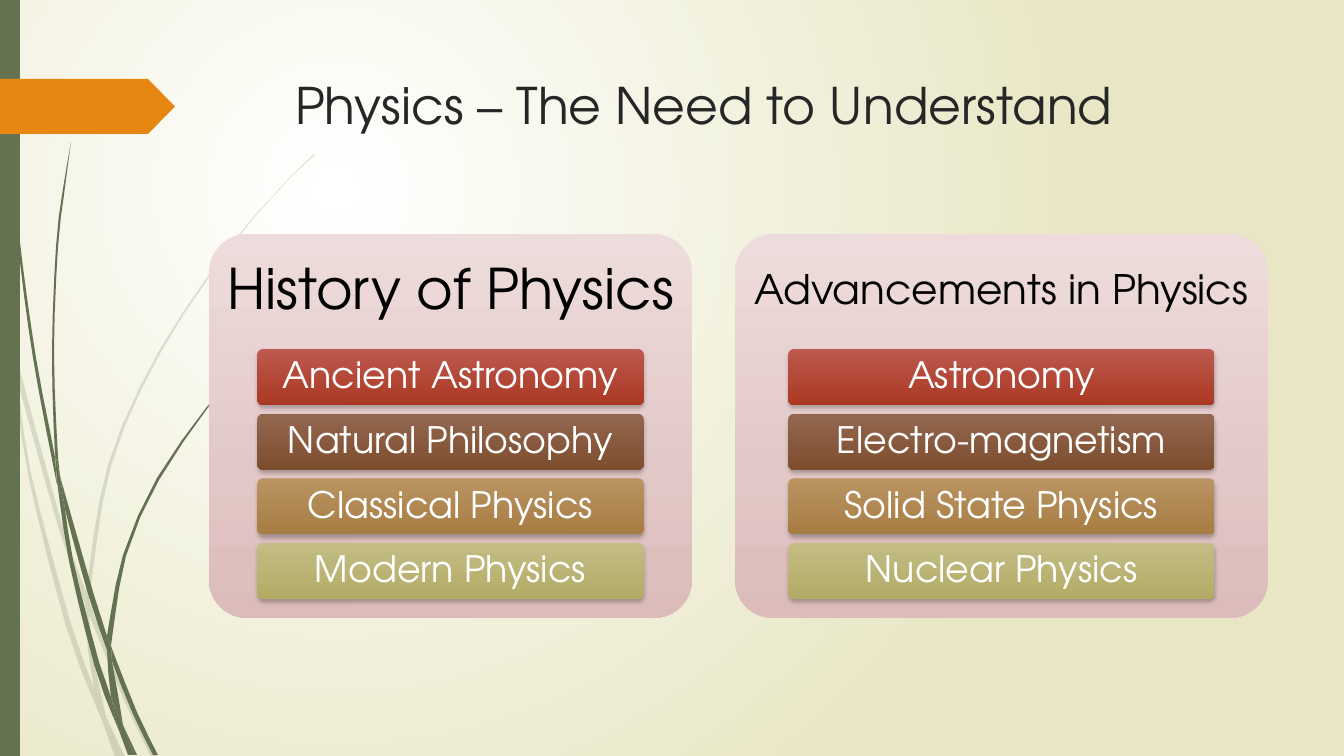
from pptx import Presentation, util as u
from pptx.dml.color import RGBColor
from pptx.enum import shapes, text
from pptx.oxml import parse_xml
from pptx.oxml.ns import nsdecls, qn

# Content
TITLE = "Physics – The Need to Understand"
PANELS = [  # heading, size, left, width, bars
    ("History of Physics", 40, 209, 483,
     ["Ancient Astronomy", "Natural Philosophy", "Classical Physics", "Modern Physics"]),
    ("Advancements in Physics", 29, 735, 533,
     ["Astronomy", "Electro-magnetism", "Solid State Physics", "Nuclear Physics"]),
]
FONT = "TeX Gyre Adventor"
GREEN, ORANGE, INK = "647252", "E78712", "262626"
ROSE = ("EDDCDB", "DBBCBA")
TONES = [("BD594E", "AB3823"), ("93674F", "7D4D2E"),
         ("BA9362", "A77D43"), ("C3BC85", "B3AC66")]

# Grass: left and right edge of each piece, both from top to bottom
PALE = [
    ([(0, 301), (10, 347), (11, 353)], [(0, 284), (9, 325), (11, 353)]),
    ([(17, 379), (58, 526), (85, 604)], [(14, 348), (62, 524), (86, 591)]),
    ([(89, 615), (124, 700), (151, 757)], [(89, 601), (93, 612), (128, 698), (156, 757)]),
    ([(106, 717), (120, 757)], [(106, 717), (125, 757)]),
    ([(11, 353), (28, 474), (66, 626), (93, 699), (102, 720)],
     [(11, 353), (17, 379), (31, 473), (71, 624), (94, 688), (102, 720)]),
    ([(85, 604), (88, 651), (94, 688), (106, 717)],
     [(85, 604), (89, 615), (92, 651), (106, 717)]),
    ([(314, 154), (291, 176), (270, 199), (230, 246), (159, 351), (108, 465), (86, 591)],
     [(315, 155), (292, 176), (270, 200), (231, 247), (161, 352), (111, 466), (89, 601)]),
    ([(102, 720), (115, 757)], [(102, 720), (120, 757)]),
    ([(86, 591), (85, 604), (89, 613)], [(86, 591), (89, 601), (89, 615)]),
    ([(94, 688), (102, 720), (120, 757)], [(94, 688), (106, 717), (120, 757)]),
]
DARK = [
    ([(3, 0), (7, 111), (17, 235), (33, 358), (57, 485)],
     [(4, 0), (8, 110), (19, 234), (36, 358), (55, 457), (57, 485)]),
    ([(60, 476), (65, 509), (89, 597), (107, 650)],
     [(60, 476), (94, 595), (107, 636), (107, 650)]),
    ([(111, 646), (112, 661), (133, 714), (153, 755)],
     [(111, 646), (114, 654), (137, 712), (158, 755)]),
    ([(57, 481), (69, 561), (94, 664), (112, 714), (118, 728)],
     [(57, 481), (65, 509), (73, 560), (99, 662), (111, 697), (118, 728)]),
    ([(71, 142), (62, 195), (56, 247), (52, 352), (55, 453), (60, 476)],
     [(71, 142), (64, 195), (58, 247), (54, 352), (58, 457), (60, 476)]),
    ([(123, 725), (134, 755)], [(123, 725), (137, 755)]),
    ([(55, 453), (57, 481), (65, 509)], [(55, 453), (60, 476), (65, 509)]),
    ([(262, 347), (233, 376), (206, 408), (157, 478), (123, 555), (107, 636)],
     [(263, 347), (233, 377), (207, 409), (159, 480), (126, 556), (111, 646)]),
    ([(118, 728), (128, 755)], [(118, 728), (132, 755)]),
    ([(107, 650), (111, 697), (123, 725)], [(107, 650), (112, 661), (123, 725)]),
    ([(107, 636), (107, 650), (112, 661)], [(107, 636), (111, 646), (112, 661)]),
    ([(111, 697), (118, 728), (131, 755)], [(111, 697), (123, 725), (134, 755)]),
]


def px(n):
    return u.Emu(round(n * 914400 / 100.8))


def rgb(code):
    return RGBColor.from_string(code)


def paint(fill, tone):
    """Fill with one colour, or with a top-to-bottom pair."""
    if isinstance(tone, tuple):
        fill.gradient()
        fill.gradient_angle = 270
        for stop, code in zip(fill.gradient_stops, tone):
            stop.color.rgb = rgb(code)
    else:
        fill.solid()
        fill.fore_color.rgb = rgb(tone)


def finish(shape, tone):
    paint(shape.fill, tone)
    shape.line.fill.background()
    shape.shadow.inherit = False
    return shape


def add(kind, x, y, w, h, tone, adj=None):
    shape = finish(slide.shapes.add_shape(kind, px(x), px(y), px(w), px(h)), tone)
    if adj is not None:
        shape.adjustments[0] = adj
    return shape


def write(shape, words, size, color="FFFFFF", align=text.PP_ALIGN.CENTER,
          anchor=text.MSO_ANCHOR.MIDDLE, wrap=False, space=0.9, foot=5):
    frame = shape.text_frame
    frame.word_wrap, frame.vertical_anchor = wrap, anchor
    frame.margin_top, frame.margin_bottom = px(5), px(foot)
    para = frame.paragraphs[0]
    para.alignment, para.line_spacing = align, space
    run = para.add_run()
    run.text = words
    run.font.name, run.font.size = FONT, u.Pt(size)
    run.font.color.rgb = rgb(color)


def smooth(pts):
    """Curve through all points (Catmull-Rom), long spans in more steps."""
    ext = [pts[0], *pts, pts[-1]]
    out = []
    for a, b, c, d in zip(ext, ext[1:], ext[2:], ext[3:]):
        steps = 1 + abs(c[1] - b[1]) // 40
        for t in (i / steps for i in range(steps)):
            out.append(tuple(
                (2 * q + (r - p) * t + (2 * p - 5 * q + 4 * r - s) * t ** 2
                 + (3 * q - p - 3 * r + s) * t ** 3) / 2
                for p, q, r, s in zip(a, b, c, d)))
    return out + [pts[-1]]


# Slide and background
deck = Presentation()
deck.slide_width, deck.slide_height = px(1344), px(756)
slide = deck.slides.add_slide(deck.slide_layouts[5])
paint(slide.background.fill, ("FFFFFF", "E8E6C4"))
lin = next(slide.element.iter(qn("a:lin")))
lin.getparent().replace(lin, parse_xml(
    f'<a:path {nsdecls("a")} path="circle">'
    '<a:fillToRect l="50000" t="50000" r="100000" b="100000"/></a:path>'))

# Grass, side bar and pointer
for alpha, blades in ((20, PALE), (100, DARK)):
    for left, right in blades:
        edge = [(px(x), px(y)) for x, y in smooth(left) + smooth(right)[::-1]]
        pen = slide.shapes.build_freeform(*edge[0])
        pen.add_line_segments(edge[1:], close=True)
        blade = finish(pen.convert_to_shape(), GREEN)
        code = next(blade.element.spPr.iter(qn("a:srgbClr")))
        code.append(parse_xml(f'<a:alpha {nsdecls("a")} val="{alpha * 1000}"/>'))
add(shapes.MSO_SHAPE.RECTANGLE, 0, 0, 20, 756, GREEN)
add(shapes.MSO_SHAPE.PENTAGON, 0, 79, 175, 55, ORANGE, 0.49)

# Title
title = slide.shapes.title
title.left, title.top, title.width, title.height = map(px, (285, 69, 983, 141))
write(title, TITLE, 36, INK, align=text.PP_ALIGN.LEFT,
      anchor=text.MSO_ANCHOR.TOP, wrap=True, space=1.0)

# Panels with evenly spaced bars
TOP, HIGH, HEAD = 234, 384, 109
BAR, FIRST, LAST = 56, 349, 599
for head, size, x, w, bars in PANELS:
    panel = add(shapes.MSO_SHAPE.ROUNDED_RECTANGLE, x, TOP, w, HIGH, ROSE, 0.1)
    write(panel, head, size, "000000", foot=HIGH - HEAD)
    step = (LAST - FIRST - BAR) / (len(bars) - 1)
    for i, (words, tone) in enumerate(zip(bars, TONES)):
        bar = add(shapes.MSO_SHAPE.ROUNDED_RECTANGLE, x + w * 0.1, FIRST + i * step,
                  w * 0.8, BAR, tone, 0.1)
        bar.element.spPr.find(qn("a:effectLst")).append(parse_xml(
            f'<a:outerShdw {nsdecls("a")} blurRad="38100" dist="25400" dir="5400000" '
            'rotWithShape="0"><a:srgbClr val="000000"><a:alpha val="25000"/>'
            '</a:srgbClr></a:outerShdw>'))
        write(bar, words, 26)

deck.save("out.pptx")
